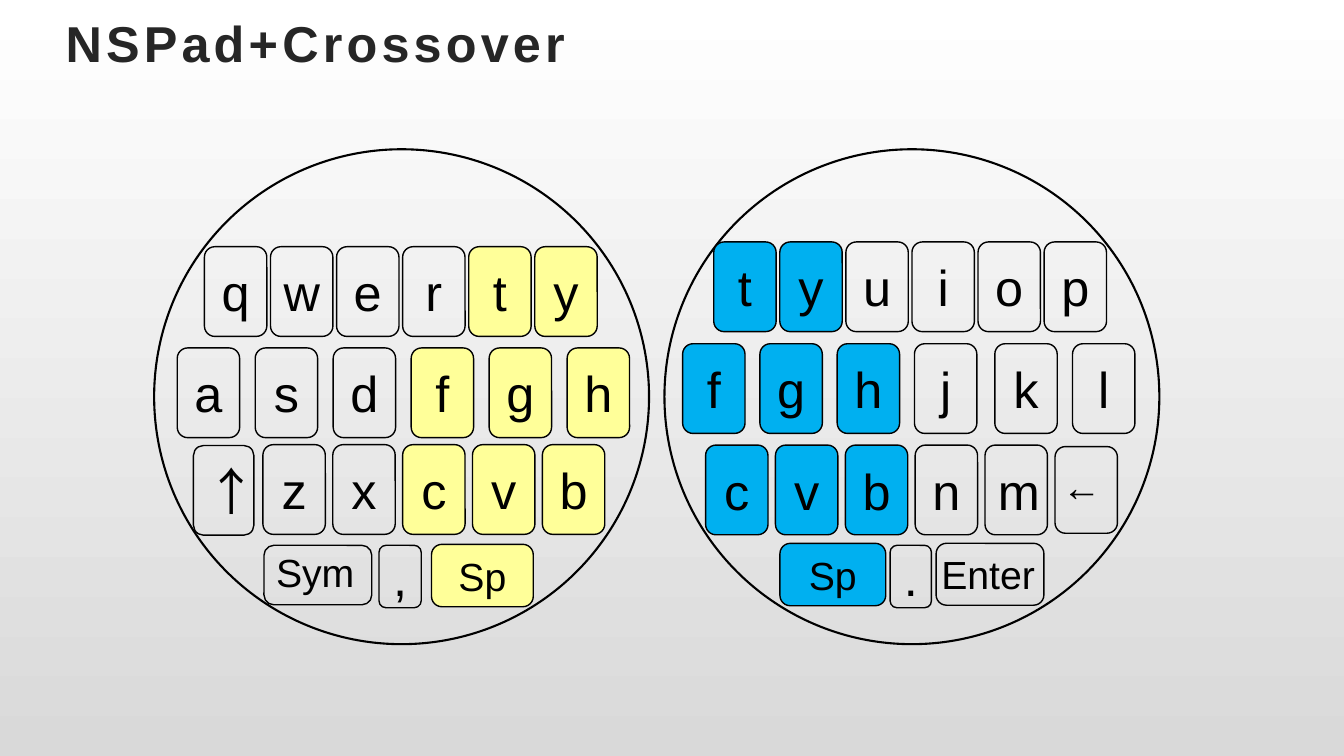
from pptx import Presentation
from pptx.dml.color import RGBColor
from pptx.enum.shapes import MSO_SHAPE
from pptx.enum.text import MSO_ANCHOR, MSO_AUTO_SIZE, PP_ALIGN
from pptx.util import Pt

COLOURS = {
    "white": "FFFFFF",
    "grey": "D9D9D9",
    "title": "262626",
    "black": "000000",
    "yellow": "FFFF99",
    "blue": "00B0F0",
}
SHARED_KEYS = set("tyfghcvb") | {"Sp"}


def colour(name):
    return RGBColor.from_string(COLOURS[name])


def write(frame, text, size=36, font="Arial", ink="black", bold=False,
          align=PP_ALIGN.LEFT, anchor=MSO_ANCHOR.TOP, spacing=None):
    frame.word_wrap = True
    frame.vertical_anchor = anchor
    para = frame.paragraphs[0]
    para.alignment = align
    span = para.add_run()
    span.text = text
    span.font.size = Pt(size)
    span.font.name = font
    span.font.bold = bold
    span.font.color.rgb = colour(ink)
    if spacing:
        span._r.get_or_add_rPr().set("spc", str(spacing * 100))


class KeyboardSlide:
    key_width = 44.6
    key_height = 64.1

    def __init__(self, deck):
        self.page = deck.slides.add_slide(deck.slide_layouts[5])
        self.pad = None
        self.highlight = None

    def background(self, top, bottom):
        fill = self.page.background.fill
        fill.gradient()
        fill.gradient_angle = 270
        for stop, name, position in zip(fill.gradient_stops, (top, bottom), (0, 1)):
            stop.color.rgb = colour(name)
            stop.position = position

    def title(self, text, left, top, width, height):
        box = self.page.shapes.title
        box.left, box.top, box.width, box.height = map(Pt, (left, top, width, height))
        box.text_frame.auto_size = MSO_AUTO_SIZE.NONE
        write(box.text_frame, text, ink="title", bold=True,
              anchor=MSO_ANCHOR.MIDDLE, spacing=3)

    def outline(self, kind, left, top, width, height, weight, fill=None):
        shape = self.pad.shapes.add_shape(kind, *map(Pt, (left, top, width, height)))
        shape.shadow.inherit = False
        shape.line.color.rgb = colour("black")
        shape.line.width = Pt(weight)
        if fill:
            shape.fill.solid()
            shape.fill.fore_color.rgb = colour(fill)
        else:
            shape.fill.background()
        return shape

    def start_pad(self, left, highlight):
        self.pad = self.page.shapes.add_group_shape()
        self.highlight = highlight
        self.outline(MSO_SHAPE.OVAL, left, 106.6, 353.5, 353.5, 1.5)

    def key(self, text, left, top, width=key_width, height=key_height, **style):
        fill = self.highlight if text in SHARED_KEYS else None
        shape = self.outline(MSO_SHAPE.ROUNDED_RECTANGLE, left, top, width, height, 1, fill)
        if text:
            write(shape.text_frame, text, align=PP_ALIGN.CENTER,
                  anchor=MSO_ANCHOR.MIDDLE, **style)

    def row(self, letters, left, top, pitch):
        for index, letter in enumerate(letters):
            self.key(letter, left + index * pitch, top)

    def label(self, text, left, top, width):
        box = self.pad.shapes.add_textbox(*map(Pt, (left, top, width, 41.2)))
        write(box.text_frame, text, size=28)


def main():
    deck = Presentation()
    deck.slide_width, deck.slide_height = Pt(960), Pt(540)
    slide = KeyboardSlide(deck)
    slide.background("white", "grey")
    slide.title("NSPad+Crossover", 39.6, 2.2, 864, 55.4)

    slide.start_pad(474.6, "blue")
    slide.row("tyuiop", 509.8, 172.8, 47.2)
    slide.row("fghj", 487.6, 245.5, 55.2)
    slide.row("kl", 710.6, 245.5, 55.5)
    slide.row("cvbnm", 504, 317.9, 49.9)
    slide.key("", 753.6, 319, height=61.9)
    slide.label("←", 751.7, 326.9, 72)
    slide.key("Sp", 557.1, 388.1, 75.6, 44.6, size=28)
    slide.key(".", 635.8, 389.5, 29.5, 44.6)
    slide.key("", 668.7, 388.1, 77, 44.2)
    slide.label("Enter", 665.3, 389.5, 153.4)

    slide.start_pad(110.1, "yellow")
    slide.row("qwerty", 146, 176.2, 47.2)
    slide.row("asdfgh", 126.6, 248.5, 55.7)
    slide.key("↑", 138.2, 318.2, width=43.2, font="Noto Sans CJK JP")
    slide.row("zxcvb", 187.8, 317.6, 49.9)
    slide.key("", 188.6, 389.5, 77, 42.5)
    slide.label("Sym", 190.1, 388.1, 97.9)
    slide.key(",", 270.7, 389.5, 30.2, 44.6)
    slide.key("Sp", 308.2, 388.8, 72.7, 44.6, size=28)

    deck.save("out.pptx")


if __name__ == "__main__":
    main()
